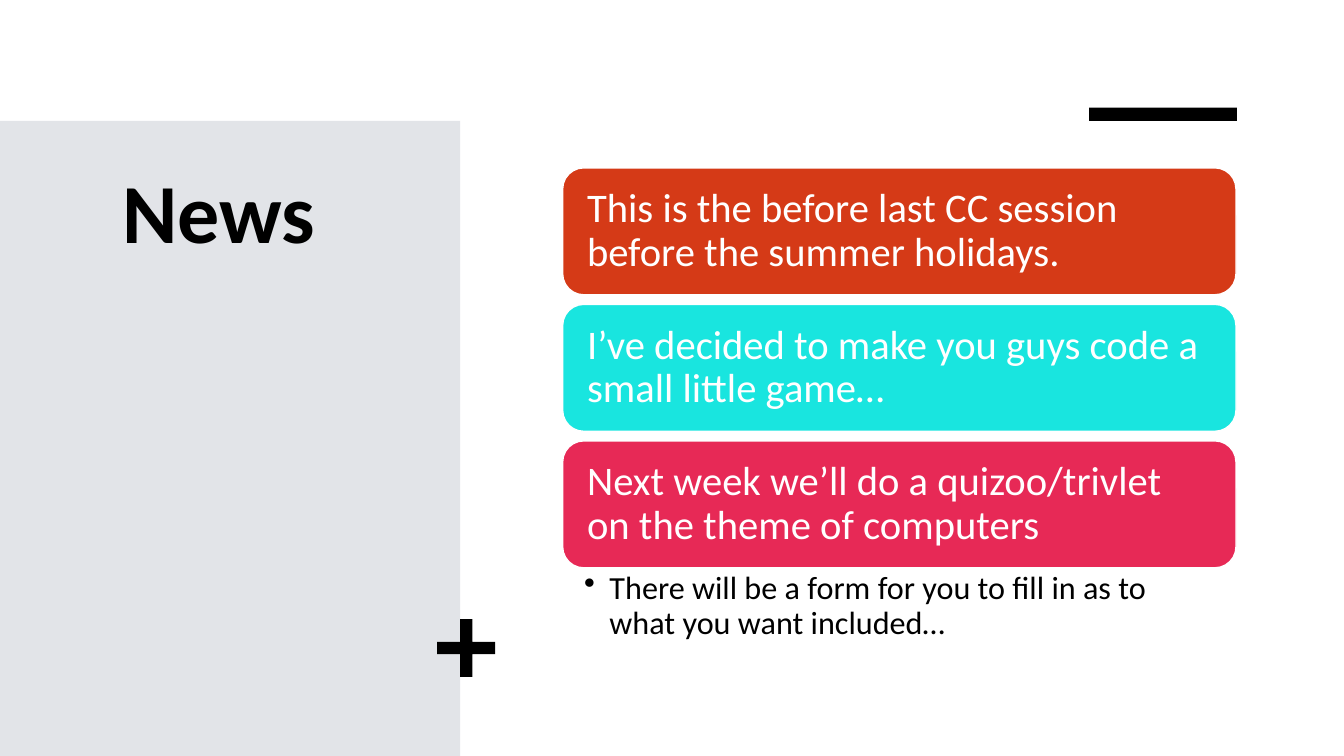
"""Build the News slide with three announcement cards and a follow-up bullet."""
import dataclasses

import pptx
import pptx.dml.color
import pptx.enum.shapes
import pptx.enum.text
import pptx.oxml
import pptx.oxml.ns
import pptx.util

Cm = pptx.util.Cm
Pt = pptx.util.Pt
RGBColor = pptx.dml.color.RGBColor
Shape = pptx.enum.shapes.MSO_SHAPE
Anchor = pptx.enum.text.MSO_ANCHOR
Align = pptx.enum.text.PP_ALIGN

BLACK = RGBColor(0x00, 0x00, 0x00)
WHITE = RGBColor(0xFF, 0xFF, 0xFF)
GREY = RGBColor(0xE2, 0xE4, 0xE8)
ORANGE = RGBColor(0xD5, 0x3A, 0x17)
TURQUOISE = RGBColor(0x19, 0xE5, 0xDF)
PINK = RGBColor(0xE7, 0x29, 0x56)

FONT = "Calibri"
CARD_LEFT, CARD_TOP = 14.18, 4.23
CARD_WIDTH, CARD_HEIGHT = 16.97, 3.2
CARD_STEP = 3.44


@dataclasses.dataclass(frozen=True)
class Box:
    """Position and size in centimetres."""

    left: float
    top: float
    width: float
    height: float

    def lengths(self) -> list:
        """Return the four values as lengths."""
        return [Cm(value) for value in dataclasses.astuple(self)]


@dataclasses.dataclass(frozen=True)
class Decoration:
    """A plain filled shape."""

    kind: Shape
    box: Box
    color: RGBColor


@dataclasses.dataclass(frozen=True)
class Card:
    """An announcement on a coloured card."""

    text: str
    color: RGBColor


DECORATIONS = (
    Decoration(Shape.RECTANGLE, Box(0, 3.05, 11.6, 16), GREY),
    Decoration(Shape.RECTANGLE, Box(27.45, 2.71, 3.72, 0.34), BLACK),
    Decoration(Shape.CROSS, Box(11.02, 15.6, 1.46, 1.46), BLACK),
)

CARDS = (
    Card("This is the before last CC session before the summer holidays.", ORANGE),
    Card("I’ve decided to make you guys code a small little game…", TURQUOISE),
    Card("Next week we’ll do a quizoo/trivlet on the theme of computers", PINK),
)


def add_filled_shape(slide, kind: Shape, box: Box, color: RGBColor):
    """Add a shape with a solid fill and neither outline nor shadow."""
    shape = slide.shapes.add_shape(kind, *box.lengths())
    shape.shadow.inherit = False
    shape.fill.solid()
    shape.fill.fore_color.rgb = color
    shape.line.fill.background()
    return shape


def set_margins(shape, left: float, top: float, right: float, bottom: float) -> None:
    """Set the text margins in centimetres."""
    frame = shape.text_frame
    frame.margin_left, frame.margin_top = Cm(left), Cm(top)
    frame.margin_right, frame.margin_bottom = Cm(right), Cm(bottom)


def write_text(shape, text: str, size: float, color: RGBColor, *,
               align: Align = Align.LEFT, anchor: Anchor = Anchor.MIDDLE,
               spacing: float = 0.9, bold: bool = False):
    """Fill a shape with one formatted paragraph and return it."""
    frame = shape.text_frame
    frame.word_wrap = True
    frame.vertical_anchor = anchor
    frame.text = text
    paragraph = frame.paragraphs[0]
    paragraph.alignment = align
    paragraph.line_spacing = spacing
    font = paragraph.runs[0].font
    font.name, font.size, font.bold = FONT, Pt(size), bold
    font.color.rgb = color
    return paragraph


def add_card(slide, card: Card, index: int) -> None:
    """Add a card at its place in the stack."""
    box = Box(CARD_LEFT, CARD_TOP + index * CARD_STEP, CARD_WIDTH, CARD_HEIGHT)
    shape = add_filled_shape(slide, Shape.ROUNDED_RECTANGLE, box, card.color)
    shape.line.color.rgb = WHITE
    shape.line.width = Pt(1)
    set_margins(shape, 0.46, 0.46, 0.46, 0.46)
    write_text(shape, card.text, 29, WHITE)


def add_bullet(paragraph, indent: float) -> None:
    """Give a paragraph a hanging round bullet."""
    properties = paragraph._p.get_or_add_pPr()
    properties.set("marL", str(Cm(indent)))
    properties.set("indent", str(-Cm(indent)))
    namespace = pptx.oxml.ns.nsdecls("a")
    properties.append(pptx.oxml.parse_xml(f'<a:buChar {namespace} char="•"/>'))


def main() -> None:
    """Build and save the slide."""
    presentation = pptx.Presentation()
    presentation.slide_width, presentation.slide_height = Cm(33.87), Cm(19.05)
    slide = presentation.slides.add_slide(presentation.slide_layouts[6])

    for decoration in DECORATIONS:
        shape = add_filled_shape(slide, decoration.kind, decoration.box, decoration.color)
        if decoration.kind == Shape.CROSS:
            shape.adjustments[0] = 0.395

    for index, card in enumerate(CARDS):
        add_card(slide, card, index)

    note_top = CARD_TOP + (len(CARDS) - 1) * CARD_STEP + CARD_HEIGHT
    note_box = Box(CARD_LEFT, note_top, CARD_WIDTH, 2)
    note = slide.shapes.add_textbox(*note_box.lengths())
    set_margins(note, 0.54, 0.1, 0.58, 0.1)
    paragraph = write_text(
        note, "There will be a form for you to fill in as to what you want included…",
        23, BLACK, anchor=Anchor.TOP)
    add_bullet(paragraph, 0.64)

    title = slide.shapes.add_textbox(*Box(1.57, 4.19, 7.9, 2.18).lengths())
    write_text(title, "News", 60, BLACK, align=Align.CENTER, spacing=1.0, bold=True)

    presentation.save("out.pptx")


if __name__ == "__main__":
    main()
